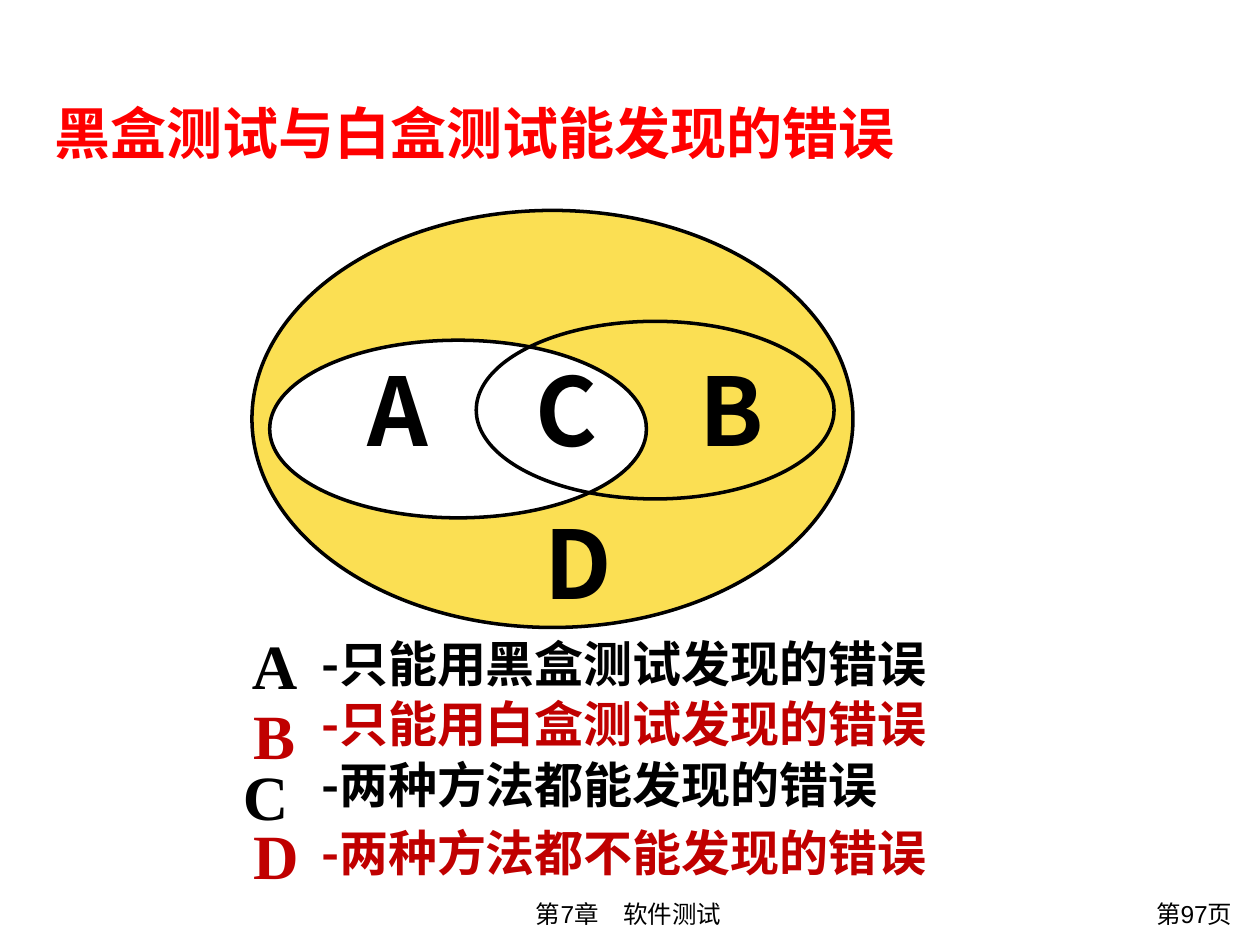
from pptx import Presentation, util as u
from pptx.dml.color import RGBColor
from pptx.enum import shapes, text
from pptx.oxml.ns import qn

COLORS = {"black": "000000", "white": "FFFFFF", "red": "FF0000",
          "dark_red": "C00000", "yellow": "FBDF53"}
SANS, SERIF, PLAIN = "Noto Sans CJK SC", "Times New Roman", "Arial"
COLUMNS, ROWS = 100, 75
LEFT, CENTER, RIGHT = (text.PP_ALIGN.LEFT, text.PP_ALIGN.CENTER,
                       text.PP_ALIGN.RIGHT)


class SlideBuilder:
    """Places elements on a grid of 100 columns and 75 rows."""

    def __init__(self, presentation):
        self.cell_width = presentation.slide_width / COLUMNS
        self.cell_height = presentation.slide_height / ROWS
        self.slide = presentation.slides.add_slide(presentation.slide_layouts[5])

    def box(self, column, row, width, height):
        return [round(value * cell) for value, cell in zip(
            (column, row, width, height),
            (self.cell_width, self.cell_height) * 2)]

    def set_text(self, shape, words, size, font=SANS, color="black", bold=True,
                 align=LEFT):
        frame = shape.text_frame
        frame_format = {"word_wrap": True, "auto_size": text.MSO_AUTO_SIZE.NONE,
                        "vertical_anchor": text.MSO_ANCHOR.MIDDLE}
        for name, value in frame_format.items():
            setattr(frame, name, value)
        paragraph = frame.paragraphs[0]
        paragraph.alignment = align
        run = paragraph.add_run()
        run.text = words
        for name, value in {"size": u.Pt(size), "name": font, "bold": bold}.items():
            setattr(run.font, name, value)
        run.font.color.rgb = RGBColor.from_string(COLORS[color])
        properties = run._r.get_or_add_rPr()
        east_asian = properties.makeelement(qn("a:ea"), {"typeface": SANS})
        properties.find(qn("a:latin")).addnext(east_asian)

    def title(self, words, *place):
        shape = self.slide.shapes.title
        shape.left, shape.top, shape.width, shape.height = self.box(*place)
        self.set_text(shape, words, 32, color="red")

    def label(self, words, place, size, **style):
        shape = self.slide.shapes.add_textbox(*self.box(*place))
        self.set_text(shape, words, size, **style)

    def ellipse(self, place, fill=None):
        shape = self.slide.shapes.add_shape(shapes.MSO_SHAPE.OVAL, *self.box(*place))
        shape.shadow.inherit = False
        if fill:
            shape.fill.solid()
            shape.fill.fore_color.rgb = RGBColor.from_string(COLORS[fill])
        else:
            shape.fill.background()
        shape.line.color.rgb = RGBColor.from_string(COLORS["black"])
        shape.line.width = u.Pt(2)


def main():
    presentation = Presentation()
    presentation.slide_width, presentation.slide_height = u.Inches(10), u.Inches(7.5)
    builder = SlideBuilder(presentation)

    builder.title("黑盒测试与白盒测试能发现的错误", 3.3, 4.2, 93.4, 12.5)

    builder.ellipse((20, 16.7, 47.7, 33.1), "yellow")
    builder.ellipse((21.4, 27, 29.9, 14.1), "white")
    builder.ellipse((37.8, 25.5, 28.4, 14.1))
    regions = {"A": (28.2, 27.4), "B": (54.5, 27.4),
               "C": (41.5, 27.4), "D": (42.2, 39.6)}
    for letter, corner in regions.items():
        builder.label(letter, (*corner, 7.1, 10), 54)

    # letter, its column and row, row of the meaning, meaning, colour
    legend = [
        ("A", 19, 49.2, 49.8, "只能用黑盒测试发现的错误", "black"),
        ("B", 19.1, 54.8, 54.6, "只能用白盒测试发现的错误", "dark_red"),
        ("C", 18.3, 59.6, 59.4, "两种方法都能发现的错误", "black"),
        ("D", 19.1, 64.3, 64.8, "两种方法都不能发现的错误", "dark_red"),
    ]
    for letter, column, letter_row, row, meaning, color in legend:
        builder.label(letter, (column, letter_row, 7.1, 7), 36,
                      font=SERIF, color=color)
        builder.label("-" + meaning, (24.5, row, 68.8, 5.6), 28, color=color)

    footer = {"font": PLAIN, "bold": False}
    builder.label("第7章　软件测试", (23.5, 70.8, 52.8, 3.4), 14,
                  align=CENTER, **footer)
    builder.label("第97页", (85.4, 70.7, 13.4, 3.7), 14, align=RIGHT, **footer)

    presentation.save("out.pptx")


if __name__ == "__main__":
    main()
